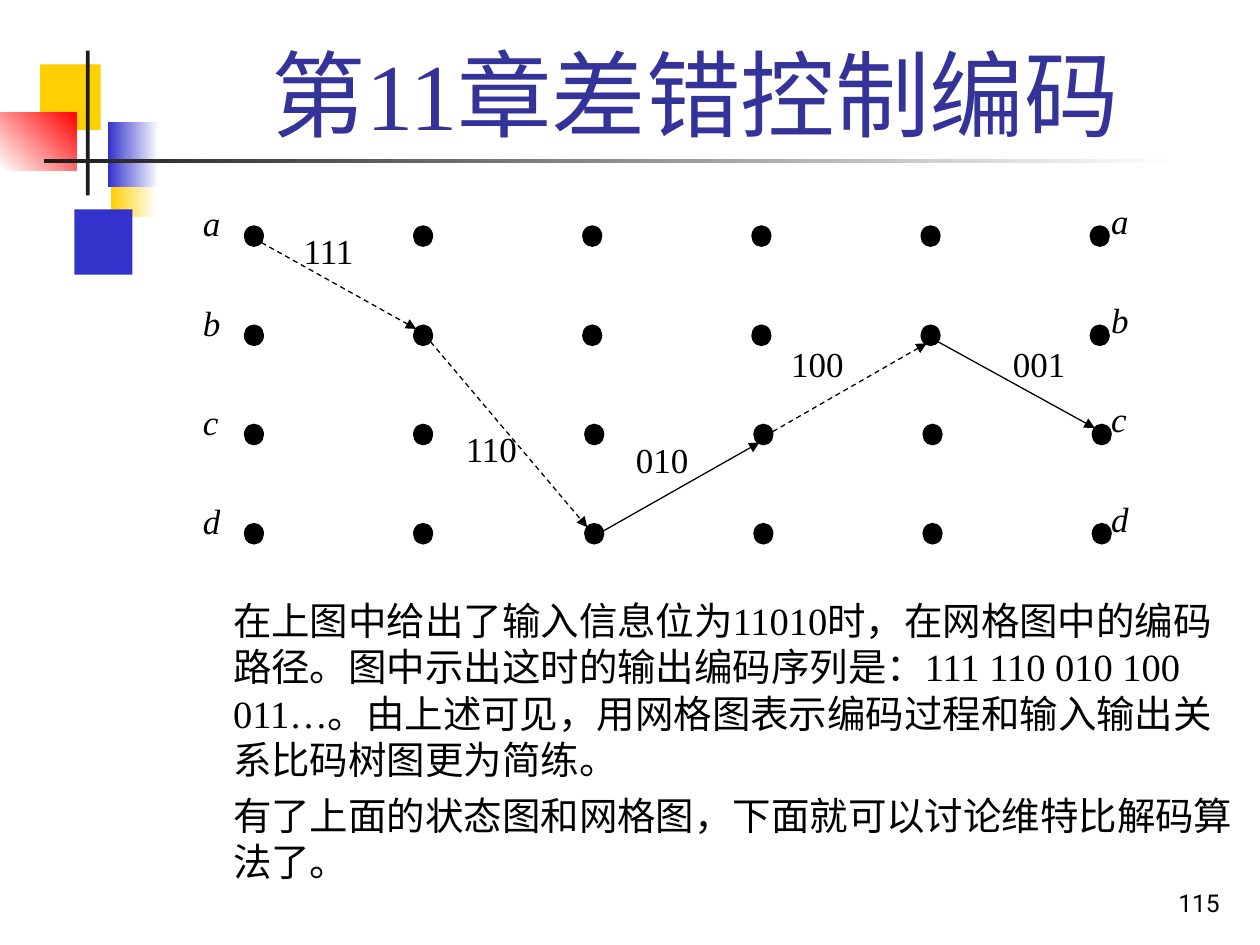
from pptx import Presentation
from pptx import util as u
from pptx.dml.color import RGBColor
from pptx.enum import dml, lang, shapes, text
from pptx.oxml.ns import qn
from lxml import etree

SERIF = "Times New Roman"
BLACK = "000000"
INSETS = dict(margin_left=u.Cm(0.25), margin_right=u.Cm(0.25),
              margin_top=u.Cm(0.13), margin_bottom=u.Cm(0.13))


def rgb(value):
    return RGBColor.from_string(value)


def apply(obj, values):
    for name, value in values.items():
        setattr(obj, name, value)


def box_cm(*lengths):
    return [u.Cm(length) for length in lengths]


def write(tf, lines, align, size, color=BLACK, font=SERIF, frame=None, para=None, **run):
    """Fill a text frame with one formatted run per paragraph."""
    apply(tf, {**INSETS, "word_wrap": True,
               "auto_size": text.MSO_AUTO_SIZE.NONE, **(frame or {})})
    for i, line in enumerate(lines):
        p = tf.paragraphs[0] if i == 0 else tf.add_paragraph()
        apply(p, {"alignment": align, "space_before": u.Pt(0), **(para or {})})
        if i:
            p.space_before = u.Pt(5.5)
        r = p.add_run()
        r.text = line
        apply(r.font, {"name": font, "size": u.Pt(size), **run})
        r.font.color.rgb = rgb(color)


def add_block(parent, kind, box, color, fade_to=None, angle=180):
    sp = parent.shapes.add_shape(kind, *box_cm(*box))
    sp.shadow.inherit = False
    sp.line.fill.background()
    if fade_to:
        sp.fill.gradient()
        sp.fill.gradient_angle = angle
        for stop, value in zip(sp.fill.gradient_stops, (color, fade_to)):
            stop.color.rgb = rgb(value)
    else:
        sp.fill.solid()
        sp.fill.fore_color.rgb = rgb(color)
    return sp


def add_label(parent, box, words, align=text.PP_ALIGN.JUSTIFY, size=20, **options):
    sp = parent.shapes.add_textbox(*box_cm(*box))
    write(sp.text_frame, [words], align, size, **options)


def add_arrow(parent, start, end, dashed):
    line = parent.shapes.add_connector(shapes.MSO_CONNECTOR.STRAIGHT, *box_cm(*start, *end))
    line.line.color.rgb = rgb(BLACK)
    line.line.width = u.Pt(0.75)
    if dashed:
        line.line.dash_style = dml.MSO_LINE.DASH
    ln = line.line._get_or_add_ln()
    etree.SubElement(ln, qn("a:tailEnd"), type="triangle")
    etree.SubElement(ln.getparent(), qn("a:effectLst"))


def decoration(slide, left, top):
    """Coloured blocks and rules at the top left."""
    blocks = [
        ((2.24, 2.03, 0.91, 1.32), "FFFFFF", "FFCF01", 180),
        ((1.5, 3.2, 1.17, 1.32), "3333CC", None, 0),
        ((0.81, 0.28, 1.22, 1.32), "FFCF01", None, 0),
        ((2.18, 1.44, 1.02, 1.32), "FFFFFF", "3333CC", 180),
        ((0, 1.24, 1.55, 1.17), "FF0000", "FFFFFF", 225),
        ((1.73, 0, 0.08, 2.92), "1C1C1C", None, 0),
        ((0.89, 2.18, 22.86, 0.08), "FFFFFF", "1C1C1C", 180),
    ]
    for (x, y, w, h), color, fade_to, angle in blocks:
        add_block(slide, shapes.MSO_SHAPE.RECTANGLE, (left + x, top + y, w, h),
                  color, fade_to, angle)


def fill_placeholder(slide, sp, box, lines, align, size, **options):
    apply(sp, dict(zip(("left", "top", "width", "height"), box_cm(*box))))
    slide.shapes._spTree.append(sp._element)  # in front of the decoration
    write(sp.text_frame, lines, align, size,
          language_id=lang.MSO_LANGUAGE_ID.SIMPLIFIED_CHINESE, **options)


def body(slide, box, lines):
    sp = slide.placeholders[1]
    fill_placeholder(slide, sp, box, lines, text.PP_ALIGN.LEFT, 22,
                     frame={"vertical_anchor": text.MSO_ANCHOR.TOP}, para={"level": 3})
    # Indented paragraphs without bullets
    for p in sp.text_frame.paragraphs:
        pPr = p._p.get_or_add_pPr()
        pPr.set("marL", str(u.Cm(4.45)))
        pPr.set("indent", "0")
        pPr.append(etree.Element(qn("a:buNone")))


def trellis(slide, left, top):
    """States a-d over six steps, with the encoding path."""
    group = slide.shapes.add_group_shape()
    states, steps = "abcd", 6
    dot_w, dot_h = 0.38, 0.41

    def centre(step, row):
        shift = 0.04 if step > 1 and row > 1 else 0
        return left + 1.28 + 3.41 * step + shift, top + 0.87 + 2 * row

    # State names and dots
    for row, state in enumerate(states):
        for x, y in ((0, 0.05), (18.31, 0)):
            add_label(group, (left + x, top + y + 2 * row, 1.3, 1.37), state, italic=True)
        for step in range(steps):
            x, y = centre(step, row)
            dot = add_block(group, shapes.MSO_SHAPE.OVAL,
                            (x - dot_w / 2, y - dot_h / 2, dot_w, dot_h), BLACK)
            dot.line.color.rgb = rgb(BLACK)
            dot.line.width = u.Pt(0.75)

    # Path: output code, its label position, dashed for input bit 1
    rows = [0, 1, 3, 2, 1, 2]
    branches = [("111", 2.03, 0.61, True), ("110", 5.3, 4.59, True),
                ("010", 8.73, 4.82, False), ("100", 11.86, 2.89, True),
                ("001", 16.33, 2.89, False)]
    for step, (code, x, y, dashed) in enumerate(branches):
        down = rows[step + 1] > rows[step]
        gaps = ((0.15, 0.13), (-0.14, -0.13)) if down else ((0.19, -0.06), (-0.08, 0.16))
        ends = [[c + g for c, g in zip(centre(step + i, rows[step + i]), gap)]
                for i, gap in enumerate(gaps)]
        add_arrow(group, *ends, dashed)
        add_label(group, (left + x, top + y, 1.88, 1.37), code)


def main():
    prs = Presentation()
    prs.slide_width, prs.slide_height = box_cm(25.4, 19.05)
    slide = prs.slides.add_slide(prs.slide_layouts[1])

    decoration(slide, 0, 1.02)
    fill_placeholder(slide, slide.shapes.title, (3.2, 0.58, 21.64, 2.57),
                     ["第11章差错控制编码"], text.PP_ALIGN.CENTER, 54, color="333399",
                     frame={"vertical_anchor": text.MSO_ANCHOR.BOTTOM})
    body(slide, (0, 11.91, 25.4, 7.14), [
        "在上图中给出了输入信息位为11010时，在网格图中的编码路径。图中示出这时的输出编码序列是："
        "111 110 010 100 011…。由上述可见，用网格图表示编码过程和输入输出关系比码树图更为简练。",
        "有了上面的状态图和网格图，下面就可以讨论维特比解码算法了。",
    ])
    trellis(slide, 3.84, 3.89)

    # Slide number
    add_label(slide, (19.56, 17.35, 5.28, 1.27), "115", text.PP_ALIGN.RIGHT, 14,
              font="Roboto", frame={"vertical_anchor": text.MSO_ANCHOR.BOTTOM})
    prs.save("out.pptx")


if __name__ == "__main__":
    main()
